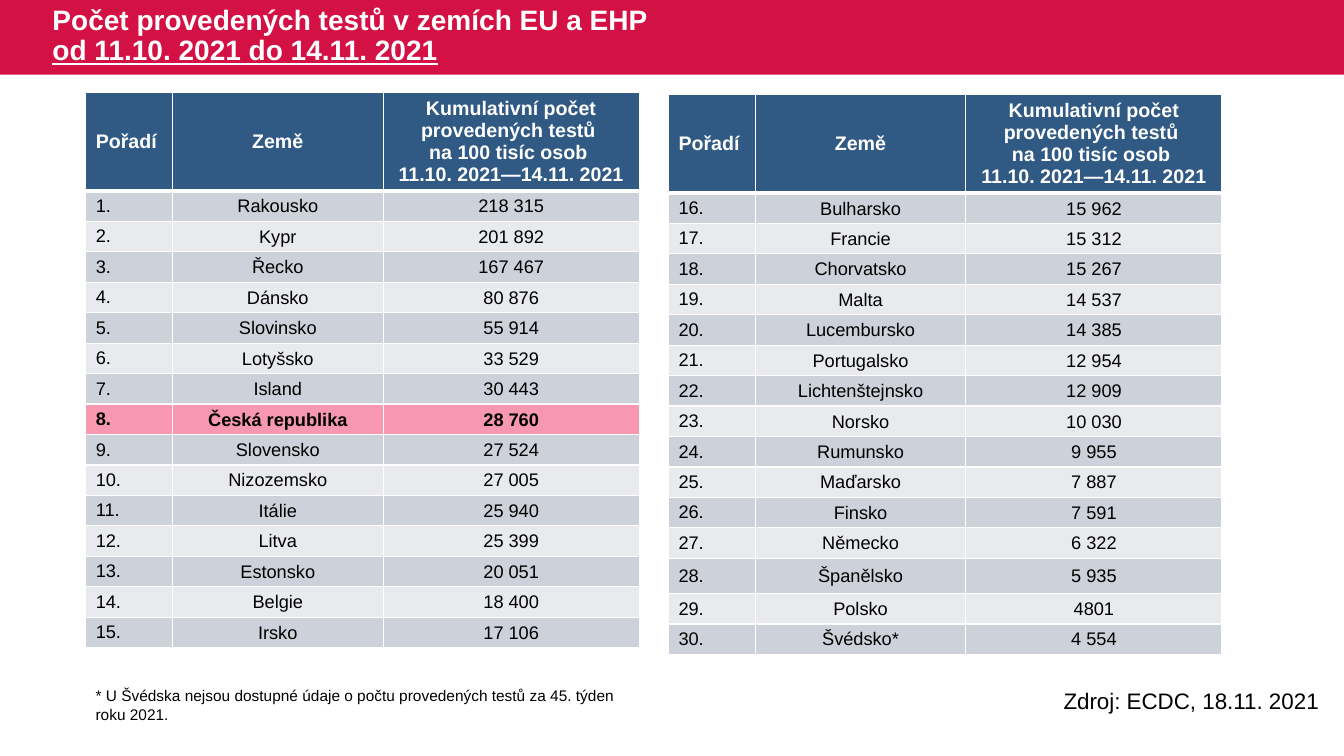
from lxml import etree
from pptx import Presentation
from pptx.dml.color import RGBColor
from pptx.enum.shapes import MSO_SHAPE
from pptx.enum.text import MSO_ANCHOR, MSO_AUTO_SIZE, PP_ALIGN
from pptx.oxml.ns import qn
from pptx.util import Inches, Pt

LEFT, CENTER = PP_ALIGN.LEFT, PP_ALIGN.CENTER
MIDDLE = MSO_ANCHOR.MIDDLE
RECTANGLE = MSO_SHAPE.RECTANGLE
NO_AUTOFIT = MSO_AUTO_SIZE.NONE

RED, NAVY, PINK, WHITE, BLACK = "D31145", "305983", "F797B0", "FFFFFF", "000000"
BANDS = ["CDD1D9", "E8EAED"]
COLUMN_WIDTHS = [0.86, 2.09, 2.54]
HEADINGS = ["Pořadí", "Země",
            "Kumulativní počet provedených testů \nna 100 tisíc osob \n11.10. 2021—14.11. 2021"]
HIGHLIGHTED = "Česká republika"
TALL_ROW = "Španělsko"

# left, top, frame height, first rank, countries with tests per 100 000 people
RANKINGS = [
    (0.85, 0.92, 5.78, 1, [
        ("Rakousko", "218 315"), ("Kypr", "201 892"), ("Řecko", "167 467"),
        ("Dánsko", "80 876"), ("Slovinsko", "55 914"), ("Lotyšsko", "33 529"),
        ("Island", "30 443"), ("Česká republika", "28 760"), ("Slovensko", "27 524"),
        ("Nizozemsko", "27 005"), ("Itálie", "25 940"), ("Litva", "25 399"),
        ("Estonsko", "20 051"), ("Belgie", "18 400"), ("Irsko", "17 106")]),
    (6.63, 0.94, 5.82, 16, [
        ("Bulharsko", "15 962"), ("Francie", "15 312"), ("Chorvatsko", "15 267"),
        ("Malta", "14 537"), ("Lucembursko", "14 385"), ("Portugalsko", "12 954"),
        ("Lichtenštejnsko", "12 909"), ("Norsko", "10 030"), ("Rumunsko", "9 955"),
        ("Maďarsko", "7 887"), ("Finsko", "7 591"), ("Německo", "6 322"),
        ("Španělsko", "5 935"), ("Polsko", "4801"), ("Švédsko*", "4 554")]),
]

NOTES = [
    ("Zdroj: ECDC, 18.11. 2021", 10.45, 6.77, 3.13, 0.37, 16),
    ("* U Švédska nejsou dostupné údaje o počtu provedených testů za 45. týden roku 2021.",
     0.85, 6.76, 5.48, 0.47, 11),
]


def style_font(font, color, **values):
    font.color.rgb = RGBColor.from_string(color)
    for name, value in {"name": "Arial", **values}.items():
        setattr(font, name, value)


def fill_cell(cell, fill, bottom_width):
    """Give the cell white borders and a solid fill."""
    properties = cell._tc.get_or_add_tcPr()
    for side, width in {"L": 1, "R": 1, "T": 1, "B": bottom_width}.items():
        line = etree.SubElement(properties, qn(f"a:ln{side}"), w=str(Pt(width)))
        solid = etree.SubElement(line, qn("a:solidFill"))
        etree.SubElement(solid, qn("a:srgbClr"), val=WHITE)
    cell.fill.solid()
    cell.fill.fore_color.rgb = RGBColor.from_string(fill)


deck = Presentation()
deck.slide_width, deck.slide_height = Inches(13.33), Inches(7.5)
page = deck.slides.add_slide(deck.slide_layouts[5])

# Title on a red band
title = page.shapes.title
title.left, title.top = Inches(0.42), Inches(0)
title.width, title.height = Inches(8.16), Inches(0.73)
frame = title.text_frame
frame.auto_size = NO_AUTOFIT
frame.vertical_anchor = MIDDLE
para = frame.paragraphs[0]
para.alignment, para.line_spacing = LEFT, 0.9
for text, underline in [("Počet provedených testů v zemích EU a EHP ", False),
                        ("od 11.10. 2021 do 14.11. 2021", True)]:
    if underline:
        para.add_line_break()
    span = para.add_run()
    span.text = text
    style_font(span.font, WHITE, size=Pt(20), bold=True, underline=underline)

band = page.shapes.add_shape(RECTANGLE, 0, 0, deck.slide_width, Inches(0.74))
band.shadow.inherit = False
band.fill.solid()
band.fill.fore_color.rgb = RGBColor.from_string(RED)
band.line.fill.background()
title.element.addprevious(band.element)

# Two ranking tables
for left, top, height, first_rank, countries in RANKINGS:
    rows = [HEADINGS] + [(f"{rank}.", *entry)
                         for rank, entry in enumerate(countries, first_rank)]
    holder = page.shapes.add_table(len(rows), len(HEADINGS), Inches(left), Inches(top),
                                   Inches(sum(COLUMN_WIDTHS)), Inches(height))
    table = holder.table
    for column, width in zip(table.columns, COLUMN_WIDTHS):
        column.width = Inches(width)
    for row_number, values in enumerate(rows):
        header = row_number == 0
        highlighted = values[1] == HIGHLIGHTED
        if header:
            row_height, fill = 0.72, NAVY
        else:
            row_height = 0.35 if values[1] == TALL_ROW else 0.25
            fill = PINK if highlighted else BANDS[(row_number - 1) % 2]
        table.rows[row_number].height = Inches(row_height)
        for column_number, value in enumerate(values):
            cell = table.cell(row_number, column_number)
            cell.text = value
            cell.vertical_anchor = MIDDLE
            fill_cell(cell, fill, 3 if header else 1)
            if column_number and not header:
                cell.margin_left = cell.margin_right = cell.margin_top = Inches(0.01)
                cell.margin_bottom = 0
            for para in cell.text_frame.paragraphs:
                para.alignment = CENTER if column_number else LEFT
                style_font(para.runs[0].font, WHITE if header else BLACK,
                           size=Pt(14 if header else 13), bold=header or highlighted)
    holder.height = Inches(height)

# Source and footnote
for text, left, top, width, height, size in NOTES:
    box = page.shapes.add_textbox(Inches(left), Inches(top), Inches(width), Inches(height))
    box.text_frame.word_wrap = True
    box.text_frame.text = text
    style_font(box.text_frame.paragraphs[0].runs[0].font, BLACK, size=Pt(size))

deck.save("out.pptx")
